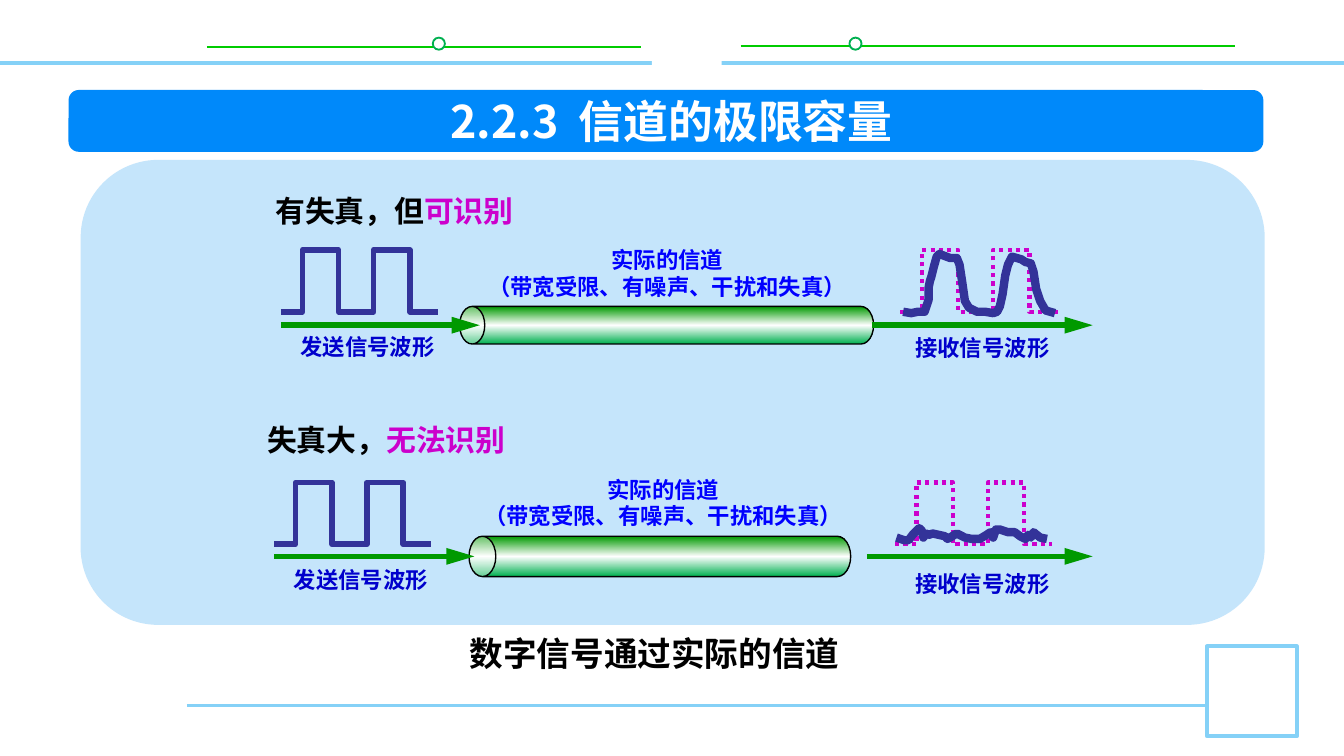
from dataclasses import dataclass

import lxml.etree
import pptx
import pptx.dml.color
import pptx.enum.dml
import pptx.enum.shapes
import pptx.enum.text
import pptx.oxml
import pptx.oxml.ns
import pptx.util
from pptx.util import Inches

Point = tuple[float, float]
SHAPES = pptx.enum.shapes.MSO_SHAPE
ALIGN = pptx.enum.text.PP_ALIGN
ANCHOR = pptx.enum.text.MSO_ANCHOR
qn = pptx.oxml.ns.qn


@dataclass(frozen=True)
class Theme:
    font: str = "Noto Sans CJK SC"
    white: str = "FFFFFF"
    black: str = "000000"
    banner: str = "0089FA"
    panel: str = "C5E5FB"
    frame: str = "85D1F7"
    rail: str = "00CC00"
    ring: str = "00B050"
    arrow: str = "009900"
    signal: str = "333399"
    accent: str = "CC00CC"
    channel: str = "0000FF"
    label: str = "0000CC"
    title_size: float = 24
    caption_size: float = 18
    heading_size: float = 16
    label_size: float = 12


@dataclass(frozen=True)
class Box:
    left: float
    top: float
    width: float
    height: float

    def emu(self) -> list[int]:
        return [Inches(v) for v in (self.left, self.top, self.width, self.height)]


@dataclass(frozen=True)
class Transmission:
    """One signal sent through a real channel."""
    heading: str
    verdict: str
    heading_box: Box
    heading_spacing: float
    pipe: Box
    pipe_adj: float
    sent_at: Point
    received_at: Point
    sent_arrow: Point
    received_arrow: Point
    arrow_y: float
    channel_box: Box
    sent_box: Box
    received_box: Box
    distorted: list[Point]


THEME = Theme()
SQUARE_WAVE = [(0, .46), (.16, .46), (.16, 0), (.43, 0), (.43, .46),
               (.69, .46), (.69, 0), (.96, 0), (.96, .46), (1.17, .46)]
READABLE_WAVE = [
    (6.72, 2.32), (6.78, 2.33), (6.83, 2.32), (6.88, 2.32), (6.91, 2.23), (6.91, 2.14),
    (6.92, 2.09), (6.93, 2.06), (6.95, 1.98), (6.97, 1.91), (6.99, 1.89), (7.07, 1.92),
    (7.12, 1.92), (7.14, 1.97), (7.16, 2.1), (7.18, 2.24), (7.21, 2.29), (7.27, 2.32),
    (7.33, 2.32), (7.39, 2.33), (7.42, 2.32), (7.44, 2.28), (7.46, 2.19), (7.48, 2.05),
    (7.5, 1.97), (7.53, 1.91), (7.6, 1.93), (7.63, 1.95), (7.67, 1.96), (7.69, 2.02),
    (7.71, 2.15), (7.74, 2.24), (7.78, 2.31), (7.85, 2.33)]
LOST_WAVE = [
    (6.67, 4), (6.73, 4.02), (6.76, 4.02), (6.79, 3.98), (6.84, 3.93), (6.86, 3.95),
    (6.87, 4), (6.89, 3.97), (6.91, 3.98), (6.94, 3.97), (7.03, 3.99), (7.05, 4.01),
    (7.12, 3.97), (7.18, 4), (7.23, 4.01), (7.29, 4.01), (7.34, 3.98), (7.37, 3.96),
    (7.39, 4), (7.41, 3.94), (7.44, 3.94), (7.5, 3.96), (7.55, 3.96), (7.59, 3.99),
    (7.63, 4.01), (7.65, 3.98), (7.67, 4), (7.69, 3.96), (7.74, 4), (7.79, 4.01)]

TRANSMISSIONS = [
    Transmission("有失真，但", "可识别", Box(1.95, 1.36, 2, .4), 1.1,
                 Box(3.42, 2.28, 3.08, .28), .668, (2.09, 1.86), (6.7, 1.86),
                 (2.09, 3.57), (6.49, 8.13), 2.42, Box(3.52, 1.78, 2.89, .5),
                 Box(2.13, 2.43, 1.21, .3), Box(6.58, 2.44, 1.46, .3), READABLE_WAVE),
    Transmission("失真大，", "无法识别", Box(1.89, 3.09, 2.06, .37), 1,
                 Box(3.49, 3.99, 2.84, .3), .665, (2.04, 3.59), (6.66, 3.59),
                 (2.04, 3.53), (6.45, 8.13), 4.14, Box(3.49, 3.49, 2.89, .51),
                 Box(2.08, 4.16, 1.21, .3), Box(6.61, 4.19, 1.4, .3), LOST_WAVE),
]


def rgb(color: str) -> pptx.dml.color.RGBColor:
    return pptx.dml.color.RGBColor.from_string(color)


def write(frame, *paragraphs: list[tuple[str, str]], size: float, align=ALIGN.CENTER,
          spacing: float = 1, wrap: bool = True, anchor=ANCHOR.TOP) -> None:
    """Fill a text frame; each paragraph is a list of (text, colour) runs."""
    frame.word_wrap = wrap
    frame.vertical_anchor = anchor
    for index, runs in enumerate(paragraphs):
        paragraph = frame.add_paragraph() if index else frame.paragraphs[0]
        paragraph.alignment = align
        paragraph.line_spacing = spacing
        for text, color in runs:
            run = paragraph.add_run()
            run.text = text
            run.font.name = THEME.font
            run.font.size = pptx.util.Pt(size)
            run.font.bold = True
            run.font.color.rgb = rgb(color)
            east_asian = lxml.etree.SubElement(run.font._element, qn("a:ea"))
            east_asian.set("typeface", THEME.font)


def add_text(slide, box: Box, *paragraphs: list[tuple[str, str]], **style) -> None:
    write(slide.shapes.add_textbox(*box.emu()).text_frame, *paragraphs, **style)


def set_line(line, color: str, width: float) -> None:
    line.color.rgb = rgb(color)
    line.width = pptx.util.Pt(width)


def add_block(slide, kind, box: Box, fill: str, line: str = "", width: float = 1):
    block = slide.shapes.add_shape(kind, *box.emu())
    block.shadow.inherit = False
    block.fill.solid()
    block.fill.fore_color.rgb = rgb(fill)
    if line:
        set_line(block.line, line, width)
    else:
        block.line.fill.background()
    return block


def add_line(slide, start: Point, end: Point, color: str, width: float, arrow: bool = False) -> None:
    connector = slide.shapes.add_connector(
        pptx.enum.shapes.MSO_CONNECTOR.STRAIGHT, *map(Inches, start + end))
    set_line(connector.line, color, width)
    if arrow:
        head = lxml.etree.SubElement(connector.line._get_or_add_ln(), qn("a:tailEnd"))
        head.set("type", "triangle")
        head.set("len", "lg")
    lxml.etree.SubElement(connector._element.spPr, qn("a:effectLst"))


def add_wave(slide, points: list[Point], color: str, width: float,
             origin: Point = (0, 0), dotted: bool = False) -> None:
    places = [(Inches(origin[0] + x), Inches(origin[1] + y)) for x, y in points]
    builder = slide.shapes.build_freeform(*places[0])
    builder.add_line_segments(places[1:], close=False)
    wave = builder.convert_to_shape()
    wave.shadow.inherit = False
    wave.fill.background()
    set_line(wave.line, color, width)
    if dotted:
        wave.line.dash_style = pptx.enum.dml.MSO_LINE.ROUND_DOT
    lxml.etree.SubElement(wave.line._get_or_add_ln(), qn("a:round"))


def add_pipe(slide, area: Box, adjustment: float) -> None:
    """Lay a can on its side so that it covers the area."""
    upright = Box(area.left + (area.width - area.height) / 2,
                  area.top + (area.height - area.width) / 2, area.height, area.width)
    pipe = add_block(slide, SHAPES.CAN, upright, THEME.white, THEME.black, .75)
    pipe.rotation = 270
    pipe.adjustments[0] = adjustment
    stops = "".join(f'<a:gs pos="{pos}"><a:srgbClr val="{color}"/></a:gs>' for pos, color in
                    ((0, THEME.ring), (50000, THEME.white), (100000, THEME.arrow)))
    gradient = pptx.oxml.parse_xml(
        f'<a:gradFill {pptx.oxml.ns.nsdecls("a")} rotWithShape="1"><a:gsLst>{stops}</a:gsLst>'
        '<a:lin ang="0" scaled="1"/></a:gradFill>')
    properties = pipe._element.spPr
    properties.replace(properties.find(qn("a:solidFill")), gradient)


def add_frame(slide) -> None:
    for left, right, y, ring_left in ((1.54, 4.77, .35, 3.22), (5.51, 9.19, .34, 6.32)):
        add_line(slide, (left, y), (right, y), THEME.rail, 1)
        add_block(slide, SHAPES.OVAL, Box(ring_left, .28, .09, .09), THEME.white, THEME.ring)
    add_line(slide, (1.39, 5.25), (8.98, 5.25), THEME.frame, 1.5)
    add_block(slide, SHAPES.RECTANGLE, Box(8.98, 4.81, .67, .67), THEME.white, THEME.frame, 2)
    add_line(slide, (0, .47), (10, .47), THEME.frame, 2)
    add_block(slide, SHAPES.RECTANGLE, Box(4.85, .14, .52, .51), THEME.white)
    add_block(slide, SHAPES.ROUNDED_RECTANGLE, Box(.51, .67, 8.89, .46), THEME.banner)


def add_title(slide, text: str) -> None:
    title = slide.shapes.title
    title.left, title.top, title.width, title.height = Box(1.37, .7, 7.25, .4).emu()
    write(title.text_frame, [(text, THEME.white)], size=THEME.title_size, anchor=ANCHOR.MIDDLE)
    slide.shapes._spTree.append(title._element)  # in front of the banner


def add_transmission(slide, row: Transmission) -> None:
    add_pipe(slide, row.pipe, row.pipe_adj)
    # Sent and received signals
    add_wave(slide, SQUARE_WAVE, THEME.signal, 3, row.sent_at)
    add_wave(slide, SQUARE_WAVE, THEME.accent, 2.25, row.received_at, dotted=True)
    for start, end in (row.sent_arrow, row.received_arrow):
        add_line(slide, (start, row.arrow_y), (end, row.arrow_y), THEME.arrow, 3, arrow=True)
    add_wave(slide, row.distorted, THEME.signal, 4.5)
    # Labels
    add_text(slide, row.channel_box, [("实际的信道", THEME.channel)],
             [("（带宽受限、有噪声、干扰和失真）", THEME.channel)], size=THEME.label_size, wrap=False)
    for box, label in ((row.sent_box, "发送信号波形"), (row.received_box, "接收信号波形")):
        add_text(slide, box, [(label, THEME.label)], size=THEME.label_size)
    add_text(slide, row.heading_box, [(row.heading, THEME.black), (row.verdict, THEME.accent)],
             size=THEME.heading_size, align=ALIGN.LEFT, spacing=row.heading_spacing)


def main() -> None:
    deck = pptx.Presentation()
    deck.slide_width = Inches(10)
    deck.slide_height = deck.slide_width * 9 // 16
    slide = deck.slides.add_slide(deck.slide_layouts[5])
    add_frame(slide)
    add_title(slide, "2.2.3  信道的极限容量")
    add_block(slide, SHAPES.ROUNDED_RECTANGLE, Box(.6, 1.19, 8.81, 3.46), THEME.panel)
    for row in TRANSMISSIONS:
        add_transmission(slide, row)
    add_text(slide, Box(3.02, 4.66, 3.7, .4), [("数字信号通过实际的信道", THEME.black)],
             size=THEME.caption_size)
    deck.save("out.pptx")


if __name__ == "__main__":
    main()
